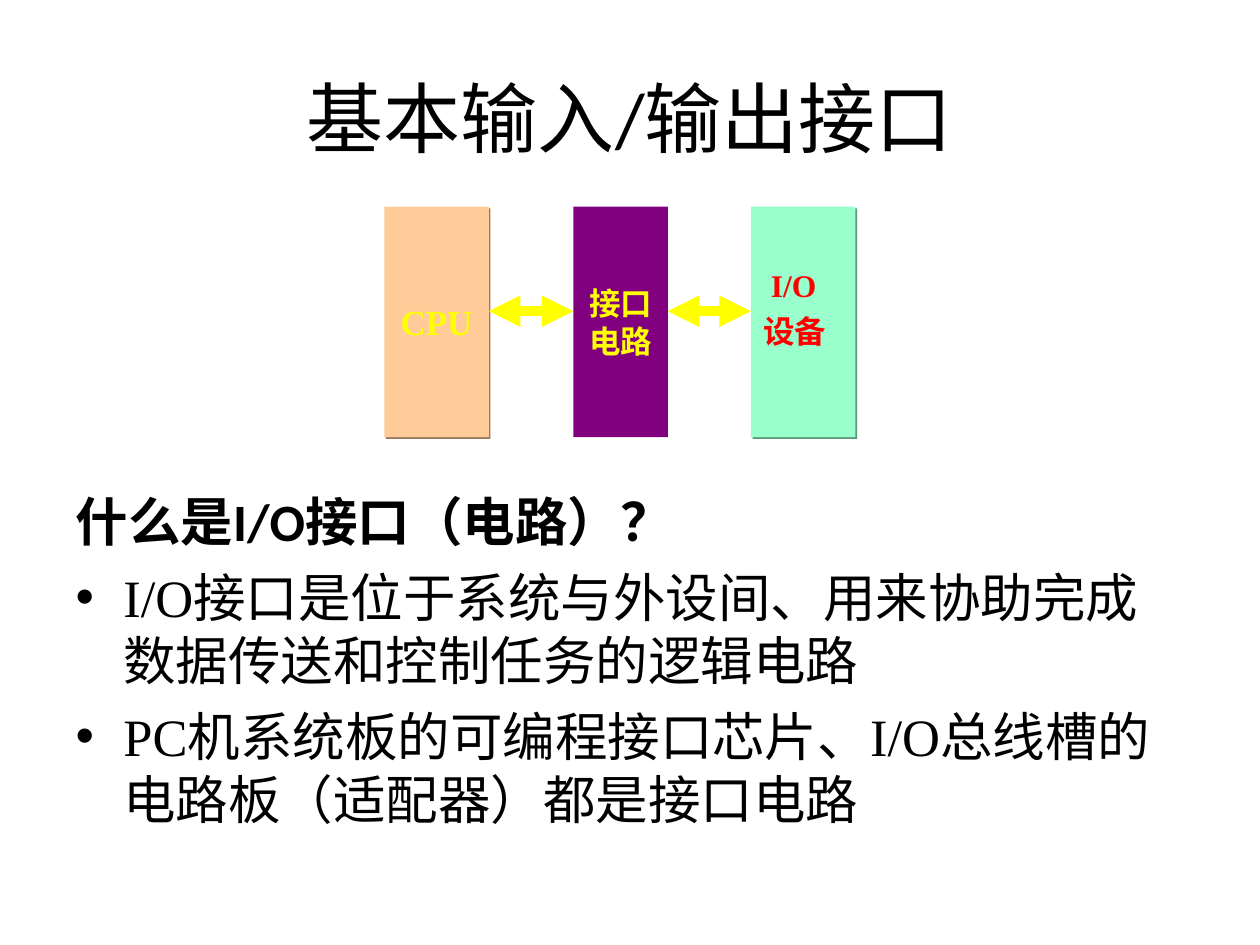
from lxml import etree
from pptx import Presentation
from pptx.dml.color import RGBColor
from pptx.enum.shapes import MSO_CONNECTOR, MSO_SHAPE
from pptx.enum.text import MSO_ANCHOR, MSO_AUTO_SIZE, PP_ALIGN
from pptx.oxml.ns import qn
from pptx.util import Inches, Pt

RECT = MSO_SHAPE.RECTANGLE
LINE = MSO_CONNECTOR.STRAIGHT
MIDDLE, TOP = MSO_ANCHOR.MIDDLE, MSO_ANCHOR.TOP
LEFT, CENTER = PP_ALIGN.LEFT, PP_ALIGN.CENTER
NO_FIT = MSO_AUTO_SIZE.NONE

BLACK = RGBColor(0x00, 0x00, 0x00)
YELLOW = RGBColor(0xFF, 0xFF, 0x00)
RED = RGBColor(0xFF, 0x00, 0x00)
PEACH = RGBColor(0xFF, 0xCC, 0x99)
BROWN = RGBColor(0x99, 0x7A, 0x5C)
MINT = RGBColor(0x99, 0xFF, 0xCC)
GREEN = RGBColor(0x5C, 0x99, 0x7A)
PURPLE = RGBColor(0x80, 0x00, 0x80)

SANS = "Calibri"
SERIF = "Times New Roman"


def place(shape, box):
    shape.left, shape.top, shape.width, shape.height = map(Inches, box)


def write(para, text, size=18, face=SERIF, color=BLACK, bold=False,
          align=LEFT, before=0, space=None):
    para.text = text
    para.alignment = align
    para.space_before = Pt(before)
    if space:
        para.line_spacing = space
    font = para.font
    font.size, font.name, font.bold = Pt(size), face, bold
    font.color.rgb = color


def lines(frame, texts, before=0, **form):
    for i, text in enumerate(texts):
        para = frame.add_paragraph() if i else frame.paragraphs[0]
        write(para, text, before=before if i else 0, **form)


def indent(para, left, first, mark=None):
    props = para._p.get_or_add_pPr()
    props.set("marL", str(Inches(left)))
    props.set("indent", str(Inches(first)))
    if mark:
        etree.SubElement(props, qn("a:buFont")).set("typeface", "Arial")
        etree.SubElement(props, qn("a:buChar")).set("char", mark)
    else:
        etree.SubElement(props, qn("a:buNone"))


def shade(shape, color):
    effect = shape._element.spPr.find(qn("a:effectLst"))
    cast = etree.SubElement(effect, qn("a:outerShdw"), dist=str(Pt(1.4)),
                            dir="2700000", algn="ctr", rotWithShape="0")
    etree.SubElement(cast, qn("a:srgbClr"), val=str(color))


def block(group, box, fill, shadow=None, texts=(), **form):
    shape = group.shapes.add_shape(RECT, *map(Inches, box))
    shape.fill.solid()
    shape.fill.fore_color.rgb = fill
    shape.line.fill.background()
    shape.shadow.inherit = False
    if shadow:
        shade(shape, shadow)
    frame = shape.text_frame
    frame.word_wrap = False
    frame.vertical_anchor = MIDDLE
    if texts:
        lines(frame, texts, color=YELLOW, bold=True, align=CENTER, **form)


def arrow(group, start, end, y):
    link = group.shapes.add_connector(
        LINE, Inches(start), Inches(y), Inches(end), Inches(y))
    link.line.color.rgb = YELLOW
    link.line.width = Pt(6)
    stroke = link.line._get_or_add_ln()
    for tip in ("a:headEnd", "a:tailEnd"):
        etree.SubElement(stroke, qn(tip), type="triangle")
    etree.SubElement(link._element.spPr, qn("a:effectLst"))


def diagram(slide, box):
    x, y, width, height = box
    side, core, gap = 0.83, 0.75, 0.67
    mid = x + side + gap
    far = x + width - side
    group = slide.shapes.add_group_shape()
    block(group, (x, y, side, height), PEACH, BROWN, ["CPU"], size=20)
    block(group, (far, y, side, height), MINT, GREEN)
    block(group, (mid, y, core, height), PURPLE, texts=["接口", "电路"])
    label = group.shapes.add_textbox(
        *map(Inches, (far, y + 0.5, side, 0.68))).text_frame
    label.word_wrap = True
    indent(label.paragraphs[0], 0.06, 0)
    lines(label, ["I/O", "设备"], color=RED, bold=True, before=11.2, space=0.7)
    for start, end in ((x + side, mid), (mid + core, far)):
        arrow(group, start, end, y + 0.83)


def heading(slide, box):
    title = slide.shapes.title
    place(title, box)
    title.text_frame.vertical_anchor = MIDDLE
    write(title.text_frame.paragraphs[0], "基本输入/输出接口",
          size=44, face=SANS, align=CENTER)


def body(slide, box):
    holder = slide.placeholders[1]
    place(holder, box)
    frame = holder.text_frame
    frame.auto_size = NO_FIT
    frame.vertical_anchor = TOP
    indent(frame.paragraphs[0], 0.38, -0.38)
    write(frame.paragraphs[0], "什么是I/O接口（电路）？",
          size=30, face=SANS, bold=True)
    for text in (
        "I/O接口是位于系统与外设间、用来协助完成数据传送和控制任务的逻辑电路",
        "PC机系统板的可编程接口芯片、I/O总线槽的电路板（适配器）都是接口电路",
    ):
        para = frame.add_paragraph()
        indent(para, 0.38, -0.38, "•")
        write(para, text, size=30, before=7.5)


def main():
    deck = Presentation()
    deck.slide_width, deck.slide_height = Inches(10), Inches(7.5)
    slide = deck.slides.add_slide(deck.slide_layouts[1])
    heading(slide, (0.5, 0.3, 9, 1.25))
    body(slide, (0.5, 3.83, 9, 2.87))
    diagram(slide, (3.05, 1.64, 3.74, 1.83))
    deck.save("out.pptx")


if __name__ == "__main__":
    main()
